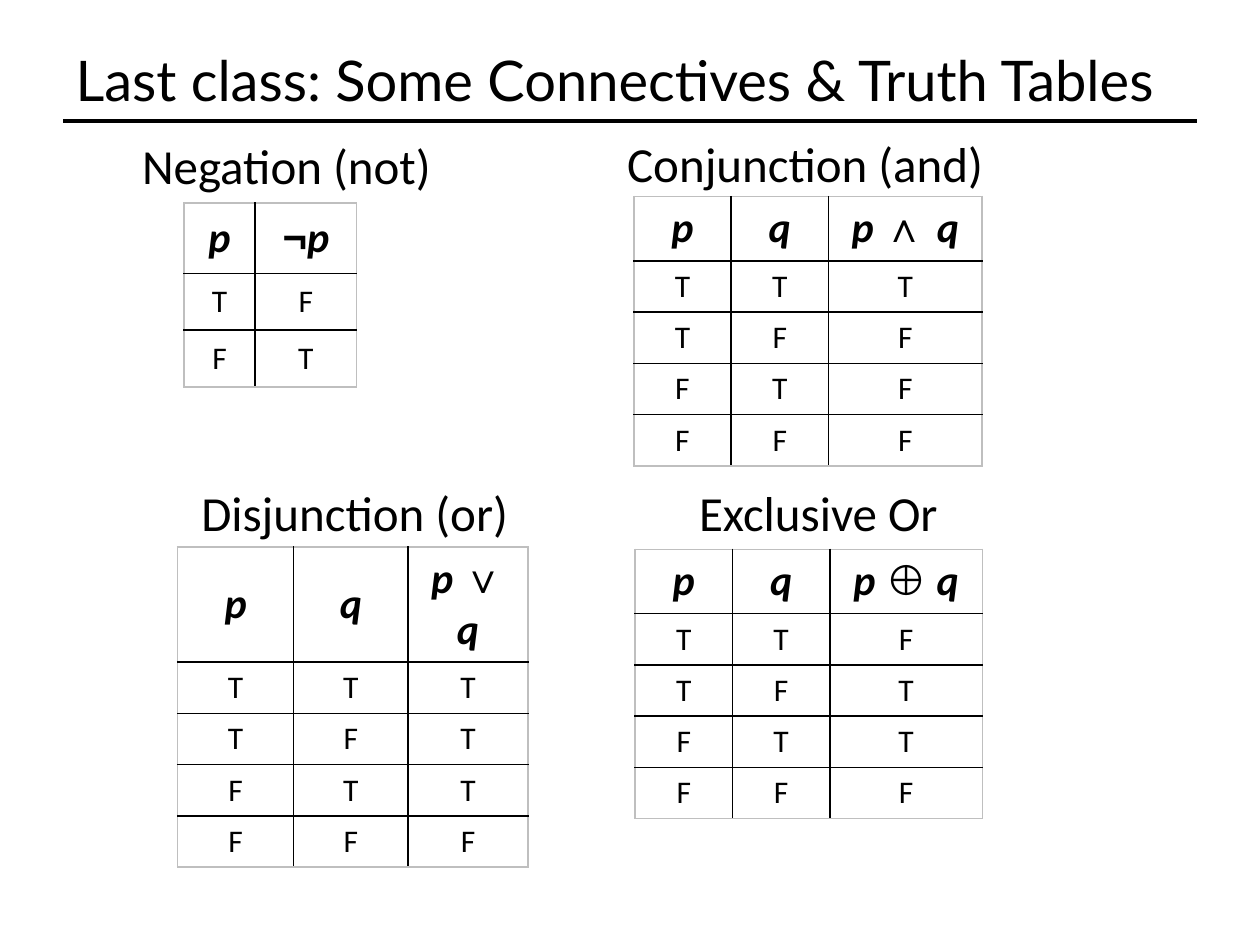
import itertools

import pptx
import pptx.util
import pptx.dml.color
import pptx.enum.shapes
import pptx.enum.text
import pptx.oxml
import pptx.oxml.ns

BLACK = pptx.dml.color.RGBColor(0, 0, 0)
GREY = pptx.dml.color.RGBColor(0xBF, 0xBF, 0xBF)
WIDTH = pptx.util.Inches(10)
HEIGHT = pptx.util.Inches(7.5)

TITLE_FONT = {"name": "Lato", "size": pptx.util.Pt(32), "bold": False}
HEADING_FONT = {"name": "Calibri", "size": pptx.util.Pt(28)}
VALUE_FONT = {"name": "Calibri", "size": pptx.util.Pt(18), "bold": False, "italic": False}
VARIABLE_FONT = {"name": "Calibri", "size": pptx.util.Pt(24), "bold": True, "italic": True}
SYMBOL_FONT = {**VARIABLE_FONT, "name": "Arial", "italic": False}

P = [("p", VARIABLE_FONT)]
Q = [("q", VARIABLE_FONT)]


def across(percent):
    return round(WIDTH * percent / 100)


def down(percent):
    return round(HEIGHT * percent / 100)


def area(left, top, width, height):
    return across(left), down(top), across(width), down(height)


def add_spans(para, spans):
    for text, look in spans:
        span = para.add_run()
        span.text = text
        span.font.color.rgb = BLACK
        for key, value in look.items():
            setattr(span.font, key, value)


def add_title(page, text):
    title = page.shapes.title
    title.left, title.top, title.width, title.height = area(5, 4, 90, 8.8)
    frame = title.text_frame
    settings = {
        "auto_size": pptx.enum.text.MSO_AUTO_SIZE.NONE,
        "vertical_anchor": pptx.enum.text.MSO_ANCHOR.MIDDLE,
        "word_wrap": True,
    }
    for key, value in settings.items():
        setattr(frame, key, value)
    para = frame.paragraphs[0]
    para.alignment = pptx.enum.text.PP_ALIGN.LEFT
    add_spans(para, [(text, TITLE_FONT)])


def add_rule(page):
    rule = page.shapes.add_connector(
        pptx.enum.shapes.MSO_CONNECTOR.STRAIGHT,
        across(5), down(12.8), across(95), down(12.8))
    rule.line.color.rgb = BLACK
    rule.line.width = pptx.util.Pt(2)
    rule._element.spPr.append(pptx.oxml.parse_xml(
        f"<a:effectLst {pptx.oxml.ns.nsdecls('a')}/>"))


def add_heading(page, text, left, top, width):
    box = page.shapes.add_textbox(*area(left, top, width, 7.6))
    box.text_frame.word_wrap = True
    add_spans(box.text_frame.paragraphs[0], [(text, HEADING_FONT)])


def set_borders(cell, outer_sides):
    properties = cell._tc.get_or_add_tcPr()
    for position, side in enumerate("LRTB"):
        color = GREY if side in outer_sides else BLACK
        properties.insert(position, pptx.oxml.parse_xml(
            f"<a:ln{side} {pptx.oxml.ns.nsdecls('a')} w='{pptx.util.Pt(1)}'>"
            f"<a:solidFill><a:srgbClr val='{color}'/></a:solidFill></a:ln{side}>"))


def truth_rows(rule, inputs):
    for values in itertools.product((True, False), repeat=inputs):
        yield [[("T" if value else "F", VALUE_FONT)]
               for value in (*values, rule(*values))]


def add_truth_table(page, left, top, columns, heights, header, rule):
    rows = [header, *truth_rows(rule, len(header) - 1)]
    header_height, row_height = heights
    total = header_height + row_height * (len(rows) - 1)
    table = page.shapes.add_table(
        len(rows), len(columns), *area(left, top, sum(columns), total)).table
    table.first_row = table.horz_banding = False
    for column, width in zip(table.columns, columns):
        column.width = across(width)
    for index, (row, contents) in enumerate(zip(table.rows, rows)):
        row.height = down(row_height if index else header_height)
        for place, (cell, spans) in enumerate(zip(row.cells, contents)):
            cell.fill.background()
            cell.vertical_anchor = pptx.enum.text.MSO_ANCHOR.MIDDLE
            para = cell.text_frame.paragraphs[0]
            para.alignment = pptx.enum.text.PP_ALIGN.CENTER
            add_spans(para, spans)
            edges = {"L": place == 0, "R": place == len(columns) - 1,
                     "T": index == 0, "B": index == len(rows) - 1}
            set_borders(cell, [side for side, outer in edges.items() if outer])


def binary_header(before, symbol, after):
    return [P, Q, [(before, VARIABLE_FONT), (symbol, SYMBOL_FONT), (after, VARIABLE_FONT)]]


def main():
    deck = pptx.Presentation()
    deck.slide_width, deck.slide_height = WIDTH, HEIGHT
    page = deck.slides.add_slide(deck.slide_layouts[5])
    add_rule(page)
    add_title(page, "Last class: Some Connectives & Truth Tables")

    negation = [P, [("¬", SYMBOL_FONT), ("p", VARIABLE_FONT)]]
    binary_heights = (6.8, 5.43)
    add_truth_table(page, 14.6, 21.47, (5.65, 8.05), (7.47, 6), negation,
                    lambda p: not p)
    add_truth_table(page, 50.3, 20.8, (7.73, 7.73, 12.2), binary_heights,
                    binary_header("p ", "∧ ", "q"), lambda p, q: p and q)
    add_truth_table(page, 14.1, 57.87, (9.2, 9.1, 9.5), binary_heights,
                    binary_header("p ", "∨", " q"), lambda p, q: p or q)
    add_truth_table(page, 50.4, 58.13, (7.73, 7.73, 12.1), binary_heights,
                    binary_header("p ", "⊕", " q"), lambda p, q: p != q)

    headings = (
        ("Negation (not)", 10.3, 13.73, 25.2),
        ("Conjunction (and)", 48.8, 13.47, 30.6),
        ("Disjunction (or)", 15, 50.4, 26.7),
        ("Exclusive Or", 54.5, 50.4, 22.2),
    )
    for heading in headings:
        add_heading(page, *heading)
    deck.save("out.pptx")


if __name__ == "__main__":
    main()
